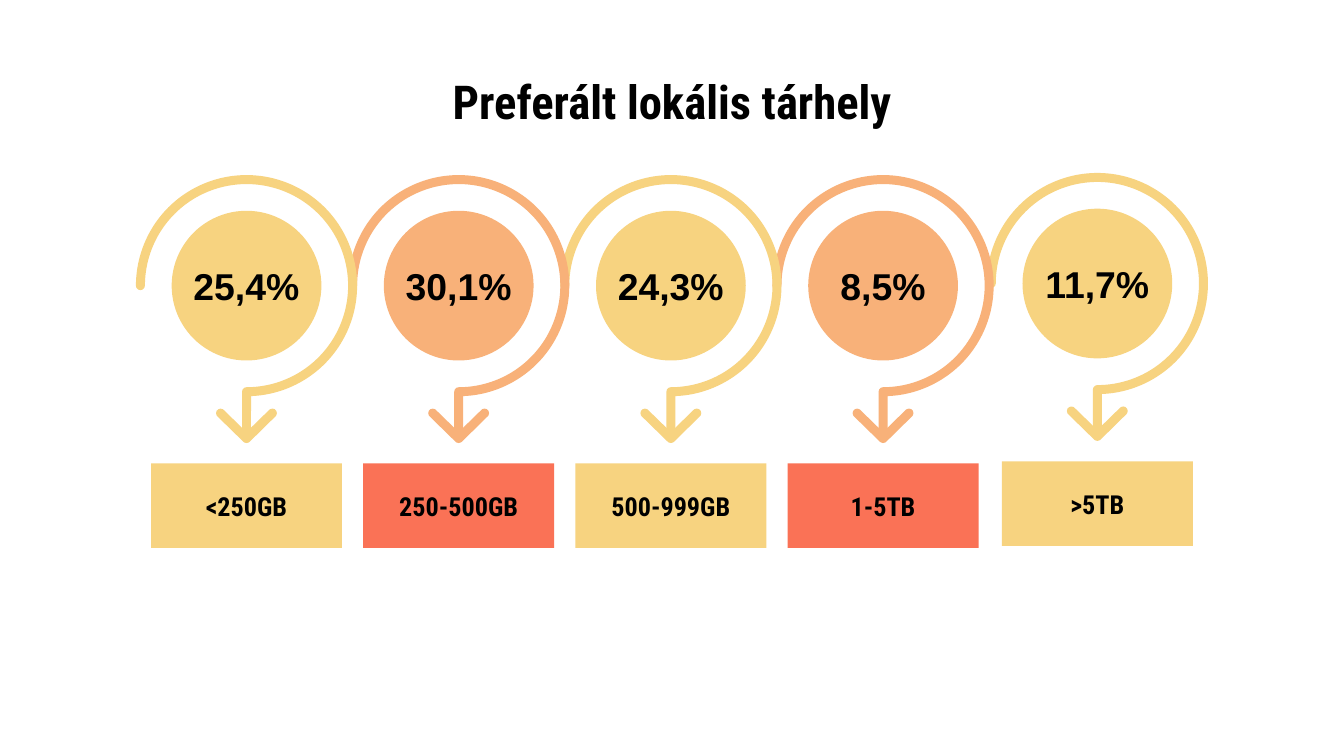
from dataclasses import dataclass
from math import asin, cos, degrees, radians, sin

from lxml.etree import SubElement
from pptx import Presentation
from pptx.dml.color import RGBColor
from pptx.enum.shapes import MSO_SHAPE as Shape
from pptx.enum.text import MSO_ANCHOR as Anchor, PP_ALIGN as Align
from pptx.oxml.ns import qn
from pptx.util import Cm, Pt

COLORS = {"yellow": "F7D380", "orange": "F8B179", "red": "FA7256", "black": "000000"}
HEAD_FONT, NUMBER_FONT = "Roboto Condensed", "Arial"

# Lengths in centimetres
FIRST_X, CENTER_Y, PITCH = 4.66, 5.40, 4.01
DISC = 2.83
RING_OUTER, RING_INNER = 2.09, 1.92
RING_MID = (RING_OUTER + RING_INNER) / 2
HALF_STROKE = (RING_OUTER - RING_INNER) / 2
STEM_END = 2.78
HEAD_TOP, HEAD_TIP, HEAD_INSIDE, HEAD_REACH = 2.41, 2.89, 2.77, 0.49
BOX_W, BOX_H, BOX_TOP = 3.61, 1.60, 8.76


@dataclass
class Category:
    share: str
    label: str
    color: str
    box_color: str
    dx: float = 0
    dy: float = 0


@dataclass
class Arc:
    """Arc round a centre, angles clockwise from the right; radius 0 is a corner."""
    x: float
    y: float
    radius: float = 0
    start: float = 0
    sweep: float = 0


@dataclass
class Outline:
    left: float
    top: float
    right: float
    bottom: float
    arcs: list[Arc]


CATEGORIES = [
    Category("25,4%", "<250GB", "yellow", "yellow"),
    Category("30,1%", "250-500GB", "orange", "red"),
    Category("24,3%", "500-999GB", "yellow", "yellow"),
    Category("8,5%", "1-5TB", "orange", "red"),
    Category("11,7%", ">5TB", "yellow", "yellow", dx=0.04, dy=-0.04),
]

# Three-quarter ring with round ends, running into the arrow stem
RING = Outline(-RING_OUTER, -RING_OUTER, RING_OUTER, STEM_END, [
    Arc(0, 0, RING_OUTER, 180, 270 - degrees(asin(HALF_STROKE / RING_OUTER))),
    Arc(HALF_STROKE, STEM_END),
    Arc(-HALF_STROKE, STEM_END),
    Arc(0, RING_MID, HALF_STROKE, 180, 90),
    Arc(0, 0, RING_INNER, 90, -270),
    Arc(-RING_MID, 0, HALF_STROKE, 0, 180),
])

# Chevron with round ends
HEAD = Outline(-HEAD_REACH - HALF_STROKE, HEAD_TOP - HALF_STROKE,
               HEAD_REACH + HALF_STROKE, HEAD_TIP + HALF_STROKE, [
    Arc(-HEAD_REACH, HEAD_TOP, HALF_STROKE, 135, 180),
    Arc(0, HEAD_INSIDE),
    Arc(HEAD_REACH, HEAD_TOP, HALF_STROKE, 225, 180),
    Arc(0, HEAD_TIP, HALF_STROKE, 45, 90),
])


def rgb(name: str) -> RGBColor:
    return RGBColor.from_string(COLORS[name])


def paint(sp, color: str) -> None:
    sp.shadow.inherit = False
    sp.fill.solid()
    sp.fill.fore_color.rgb = rgb(color)
    sp.line.fill.background()


def write(sp, text: str, font: str, size: float, anchor=Anchor.MIDDLE) -> None:
    tf = sp.text_frame
    tf.vertical_anchor = anchor
    tf.margin_left = tf.margin_right = tf.margin_top = tf.margin_bottom = Cm(0.25)
    tf.word_wrap = False
    p = tf.paragraphs[0]
    p.alignment = Align.CENTER
    r = p.add_run()
    r.text = text
    r.font.name, r.font.size, r.font.bold = font, Pt(size), True
    r.font.color.rgb = rgb("black")


def draw_outline(shapes, outline: Outline, x: float, y: float, color: str) -> None:
    # The corners fix the frame; the true curves then replace the straight lines
    builder = shapes.build_freeform(Cm(x + outline.left), Cm(y + outline.top))
    builder.add_line_segments([(Cm(x + outline.right), Cm(y + outline.bottom))])
    sp = builder.convert_to_shape()
    paint(sp, color)
    geometry = sp._element.xpath(".//a:path")[0]
    for child in list(geometry):
        geometry.remove(child)
    for i, arc in enumerate(outline.arcs):
        angle = radians(arc.start)
        px = arc.x + arc.radius * cos(angle) - outline.left
        py = arc.y + arc.radius * sin(angle) - outline.top
        step = SubElement(geometry, qn("a:lnTo" if i else "a:moveTo"))
        SubElement(step, qn("a:pt"), x=str(Cm(px)), y=str(Cm(py)))
        if arc.radius:
            radius = str(Cm(arc.radius))
            SubElement(geometry, qn("a:arcTo"), wR=radius, hR=radius,
                       stAng=str(round(arc.start * 60000)),
                       swAng=str(round(arc.sweep * 60000)))
    SubElement(geometry, qn("a:close"))


def draw_badge(shapes, category: Category, x: float, y: float) -> None:
    group = shapes.add_group_shape().shapes
    disc = group.add_shape(Shape.OVAL, Cm(x - DISC / 2), Cm(y - DISC / 2), Cm(DISC), Cm(DISC))
    paint(disc, category.color)
    write(disc, category.share, NUMBER_FONT, 20)
    for outline in (RING, HEAD):
        draw_outline(group, outline, x, y, category.color)


def draw_box(shapes, category: Category, x: float) -> None:
    box = shapes.add_shape(Shape.RECTANGLE, Cm(x - BOX_W / 2), Cm(BOX_TOP + category.dy),
                           Cm(BOX_W), Cm(BOX_H))
    paint(box, category.box_color)
    write(box, category.label, HEAD_FONT, 14)


def main() -> None:
    prs = Presentation()
    prs.slide_width, prs.slide_height = Cm(25.4), Cm(14.29)
    s = prs.slides.add_slide(prs.slide_layouts[5])

    # Title
    title = s.shapes.title
    title.left, title.top, title.width, title.height = Cm(1.27), Cm(1.24), Cm(22.86), Cm(1.45)
    write(title, "Preferált lokális tárhely", HEAD_FONT, 25, Anchor.BOTTOM)

    # Categories, right to left so that each ring overlaps the next one
    for i, category in reversed(list(enumerate(CATEGORIES))):
        x = FIRST_X + i * PITCH + category.dx
        draw_badge(s.shapes, category, x, CENTER_Y + category.dy)
        draw_box(s.shapes, category, x)

    prs.save("out.pptx")


if __name__ == "__main__":
    main()
